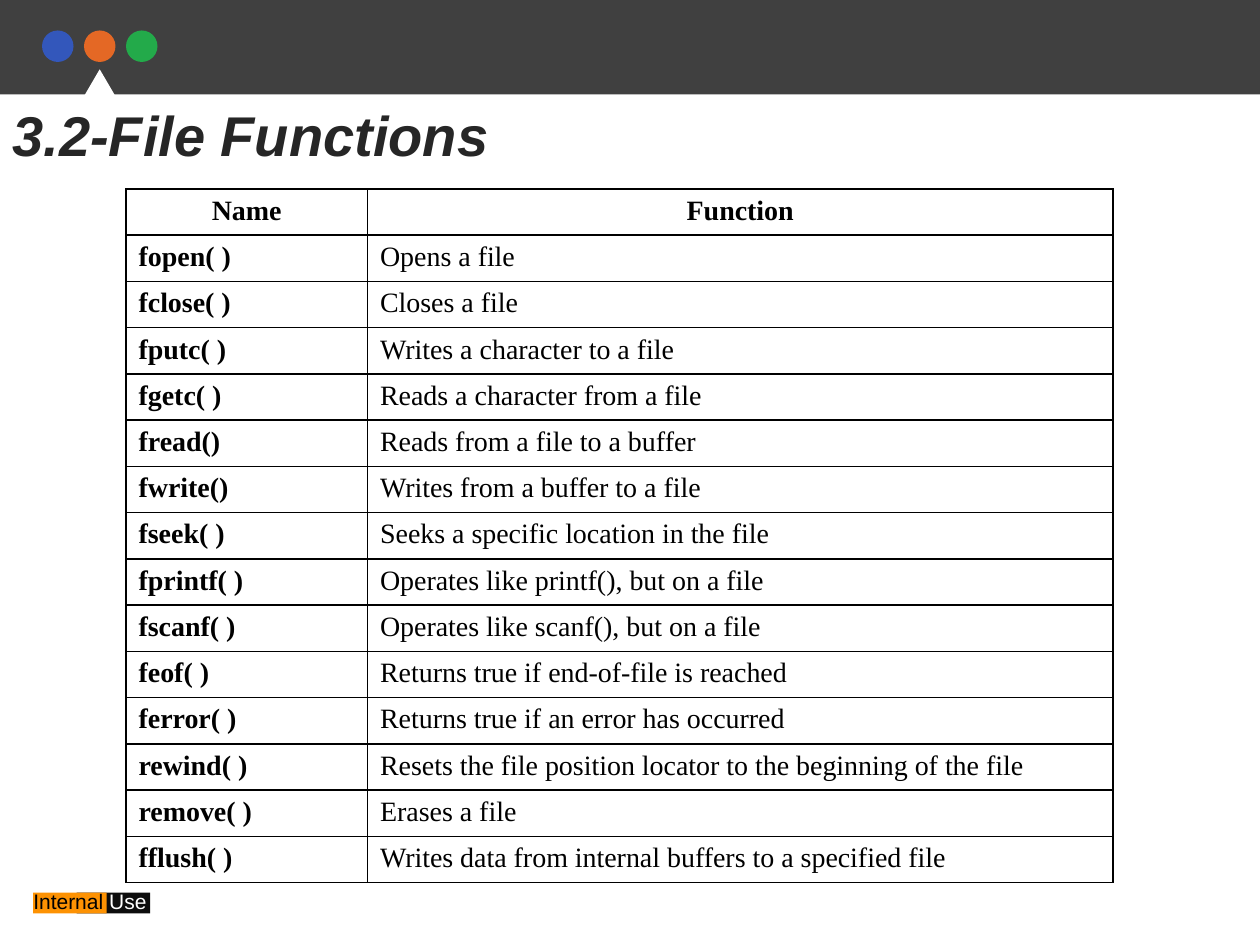
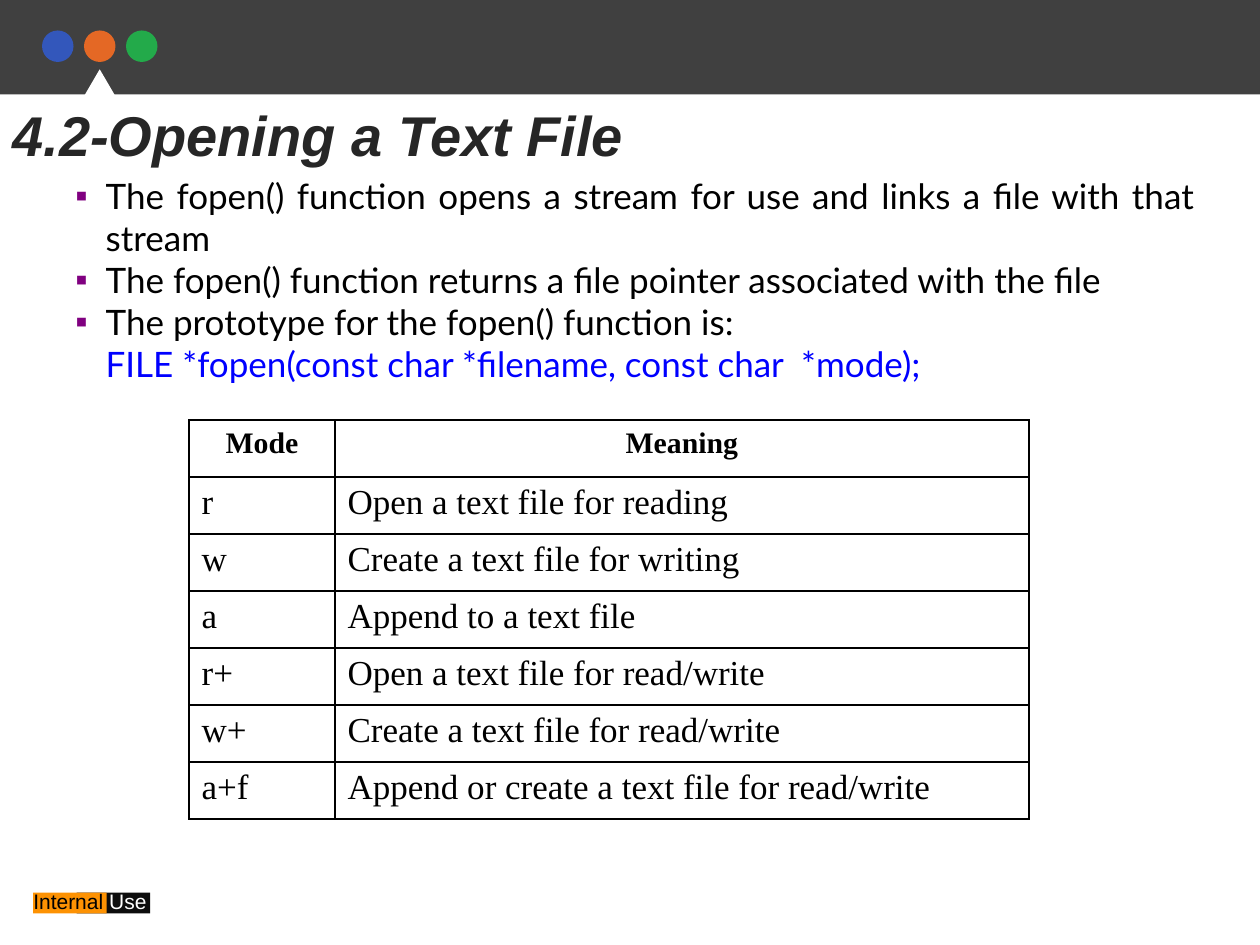
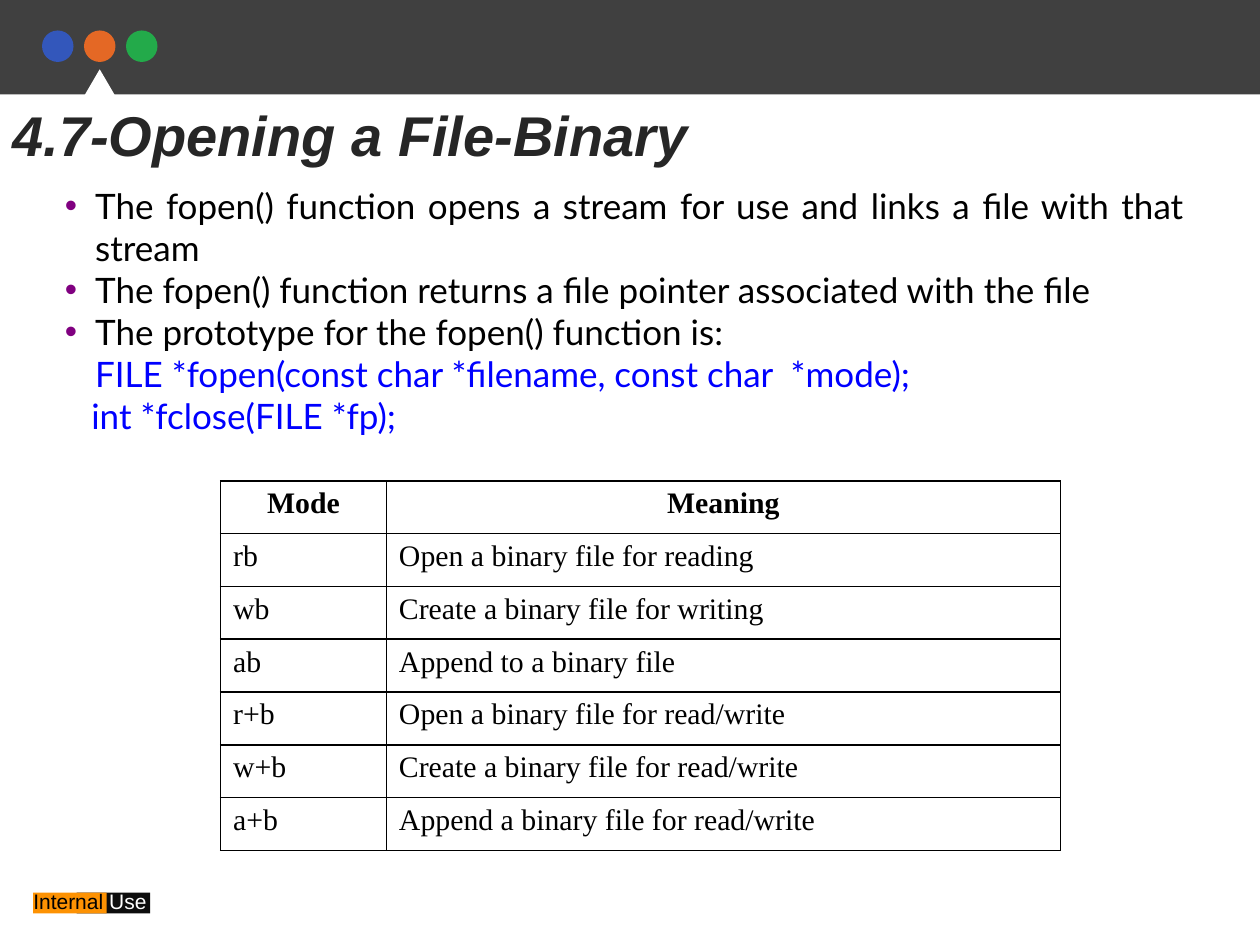
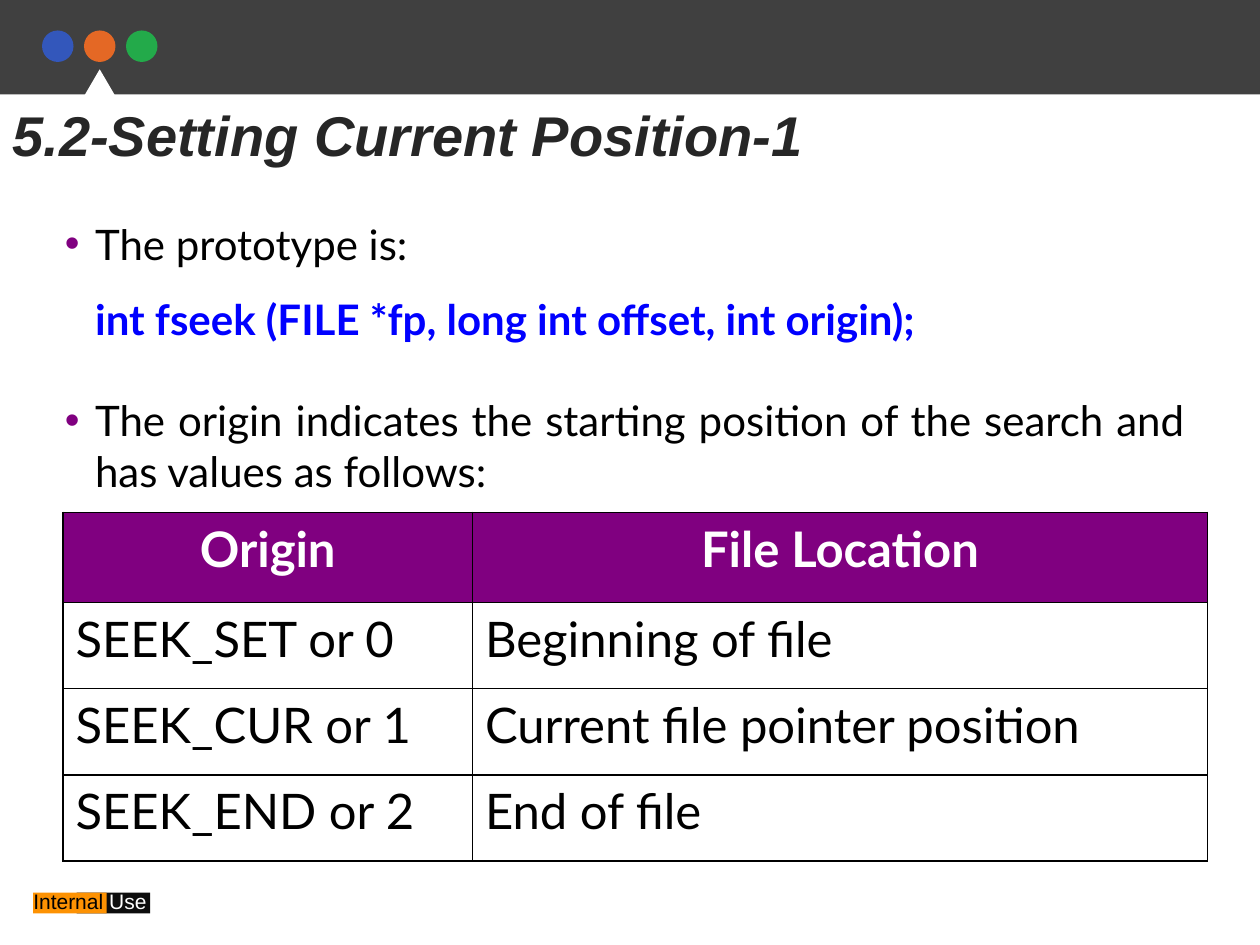
from lxml.etree import SubElement
from pptx import Presentation
from pptx.dml.color import RGBColor
from pptx.enum.shapes import MSO_SHAPE as Preset
from pptx.enum.text import PP_ALIGN as Align
from pptx.oxml.ns import qn
from pptx.util import Inches, Pt

COLORS = {
    "band": "404040", "blue": "3357BB", "orange": "E46825", "green": "23AA4A",
    "white": "FFFFFF", "black": "000000", "title": "262626", "code": "0000FF",
    "purple": "800080", "label_dark": "0D0D0D", "label_orange": "FD9203",
}
SANS, BODY, SERIF = "Arial", "Lato", "Times New Roman"
COLUMNS, ROWS = 120, 90  # grid over the 10 x 7.5 inch slide
HANGING = 0.24  # bullet indent in inches


class Deck:
    def __init__(self):
        self.presentation = Presentation()
        self.presentation.slide_width = Inches(10)
        self.presentation.slide_height = Inches(7.5)
        self.slide = None

    def x(self, columns):
        return round(self.presentation.slide_width * columns / COLUMNS)

    def y(self, rows):
        return round(self.presentation.slide_height * rows / ROWS)

    def box(self, left, top, width, height):
        return self.x(left), self.y(top), self.x(width), self.y(height)

    def new_slide(self, title):
        self.slide = self.presentation.slides.add_slide(
            self.presentation.slide_layouts[6])
        self.header()
        self.footer()
        paragraph = self.text_frame(0, 9, 117, 7.7).paragraphs[0]
        self.run(paragraph, title, 32, SANS, "title", bold=True, italic=True)

    def shape(self, preset, color, *place):
        shape = self.slide.shapes.add_shape(preset, *self.box(*place))
        shape.shadow.inherit = False
        shape.fill.solid()
        shape.fill.fore_color.rgb = RGBColor.from_string(COLORS[color])
        shape.line.fill.background()

    def text_frame(self, *place):
        frame = self.slide.shapes.add_textbox(*self.box(*place)).text_frame
        frame.word_wrap = True
        return frame

    def run(self, paragraph, text, size, font, color="black", bold=False, italic=False):
        run = paragraph.add_run()
        run.text = text
        run.font.size, run.font.name = Pt(size), font
        run.font.bold, run.font.italic = bold, italic
        run.font.color.rgb = RGBColor.from_string(COLORS[color])

    def header(self):
        self.shape(Preset.RECTANGLE, "band", 0, 0, COLUMNS, 9)
        for number, color in enumerate(("blue", "orange", "green"), 1):
            self.shape(Preset.OVAL, color, 4 * number, 2.9, 3, 3)
        self.shape(Preset.ISOSCELES_TRIANGLE, "white", 6, 6.6, 7, 6)

    def footer(self):
        self.shape(Preset.RECTANGLE, "label_dark", 7.3, 85, 7, 2)
        self.shape(Preset.RECTANGLE, "label_orange", 3.15, 85, 7, 2)
        paragraph = self.text_frame(2, 84, 18, 3.6).paragraphs[0]
        self.run(paragraph, "Internal ", 12, SANS)
        self.run(paragraph, "Use", 12, SANS, "white")

    def indent(self, paragraph, margin, bullet=None):
        properties = paragraph._p.get_or_add_pPr()
        properties.set("marL", str(Inches(margin)))
        properties.set("indent", str(-Inches(margin) if bullet else 0))
        if bullet:
            color = SubElement(properties, qn("a:buClr"))
            SubElement(color, qn("a:srgbClr"), val=COLORS["purple"])
            SubElement(properties, qn("a:buFont"), typeface=SANS)
            SubElement(properties, qn("a:buChar"), char=bullet)
        else:
            SubElement(properties, qn("a:buNone"))

    def body(self, place, size, bullet, items):
        """Each item is (text, is_code, options)."""
        frame = self.text_frame(*place)
        for index, (text, is_code, options) in enumerate(items):
            paragraph = frame.add_paragraph() if index else frame.paragraphs[0]
            paragraph.alignment = Align.JUSTIFY
            self.indent(paragraph, options.get("margin", HANGING),
                        None if is_code else bullet)
            paragraph.space_before = Pt(options.get("before", 0))
            self.run(paragraph, text, size, BODY, "code" if is_code else "black",
                     bold=options.get("bold", False))

    def border(self, cell):
        properties = cell._tc.get_or_add_tcPr()
        for position, side in enumerate(("a:lnL", "a:lnR", "a:lnT", "a:lnB")):
            line = properties.makeelement(qn(side), {"w": str(Pt(1))})
            fill = SubElement(line, qn("a:solidFill"))
            SubElement(fill, qn("a:srgbClr"), val=COLORS["black"])
            properties.insert(position, line)

    def table(self, left, top, widths, heights, records, sizes, font=SERIF,
              align=Align.JUSTIFY, header_fill=None, bold_names=False):
        """Sizes are (header, body) in points; the first record is the header."""
        table = self.slide.shapes.add_table(
            len(records), len(widths),
            *self.box(left, top, sum(widths), sum(heights))).table
        table.first_row = table.horz_banding = False
        for column, width in zip(table.columns, widths):
            column.width = self.x(width)
        for row, height in zip(table.rows, heights):
            row.height = self.y(height)
        for row, record in enumerate(records):
            is_header = row == 0
            filled = is_header and header_fill
            for column, text in enumerate(record):
                cell = table.cell(row, column)
                if filled:
                    cell.fill.solid()
                    cell.fill.fore_color.rgb = RGBColor.from_string(COLORS[header_fill])
                else:
                    cell.fill.background()
                self.border(cell)
                paragraph = cell.text_frame.paragraphs[0]
                paragraph.alignment = Align.CENTER if is_header else align
                self.run(paragraph, text, sizes[0 if is_header else 1], font,
                         "white" if filled else "black",
                         bold=is_header or (bold_names and column == 0))


deck = Deck()

# File functions
functions = [
    ("Name", "Function"),
    ("fopen( )", "Opens a file"),
    ("fclose( )", "Closes a file"),
    ("fputc( )", "Writes a character to a file"),
    ("fgetc( )", "Reads a character from a file"),
    ("fread()", "Reads from a file to a buffer"),
    ("fwrite()", "Writes from a buffer to a file"),
    ("fseek( )", "Seeks a specific location in the file"),
    ("fprintf( )", "Operates like printf(), but on a file"),
    ("fscanf( )", "Operates like scanf(), but on a file"),
    ("feof( )", "Returns true if end-of-file is reached"),
    ("ferror( )", "Returns true if an error has occurred"),
    ("rewind( )", "Resets the file position locator to the beginning of the file"),
    ("remove( )", "Erases a file"),
    ("fflush( )", "Writes data from internal buffers to a specified file"),
]
deck.new_slide("3.2-File Functions")
deck.table(12, 18, (23, 71), [4.4] * len(functions), functions, (16, 16),
           bold_names=True)

# Opening a text file
fopen_items = [
    ("The fopen() function opens a stream for use and links a file with that stream",
     False, {}),
    ("The fopen() function returns a file pointer associated with the file", False, {}),
    ("The prototype for the fopen() function is:", False, {}),
    ("FILE *fopen(const char *filename, const char  *mode);", True, {}),
]
text_modes = [
    ("Mode", "Meaning"),
    ("r", "Open a text file for reading"),
    ("w", "Create a text file for writing"),
    ("a", "Append to a text file"),
    ("r+", "Open a text file for read/write"),
    ("w+", "Create a text file for read/write"),
    ("a+f", "Append or create a text file for read/write"),
]
deck.new_slide("4.2-Opening a Text File")
deck.body((6, 16, 109, 21.25), 20, "▪", fopen_items)
deck.table(18, 40, (13.9, 66.1), [38 / 7] * len(text_modes), text_modes, (17, 20))

# Opening a binary file
binary_modes = [
    ("Mode", "Meaning"),
    ("rb", "Open a binary file for reading"),
    ("wb", "Create a binary file for writing"),
    ("ab", "Append to a binary file"),
    ("r+b", "Open a binary file for read/write"),
    ("w+b", "Create a binary file for read/write"),
    ("a+b", "Append a binary file for read/write"),
]
deck.new_slide("4.7-Opening a File-Binary")
deck.body((5, 17, 109, 33.5), 20, "•",
          fopen_items + [("int *fclose(FILE *fp);", True, {"margin": 0.21})])
deck.table(21, 45.8, (15.8, 64.2), [5.03] * len(binary_modes), binary_modes, (17, 17))

# Setting the current position
origins = [
    ("Origin", "File Location"),
    ("SEEK_SET or 0", "Beginning of file"),
    ("SEEK_CUR or 1", "Current file pointer position"),
    ("SEEK_END or 2", "End of file"),
]
deck.new_slide("5.2-Setting Current Position-1")
deck.body((5, 20.2, 109, 27.8), 24, "•", [
    ("The prototype is:", False, {}),
    ("int fseek (FILE *fp, long int offset, int origin);", True,
     {"before": 14.4, "bold": True}),
    ("The origin indicates the starting position of the search and has values as follows:",
     False, {"before": 28.8}),
])
deck.table(6, 48.8, (39, 70), (8.6, 8.2, 8.2, 8.2), origins, (28, 28), font=BODY,
           align=Align.LEFT, header_fill="purple")

deck.presentation.save("out.pptx")
